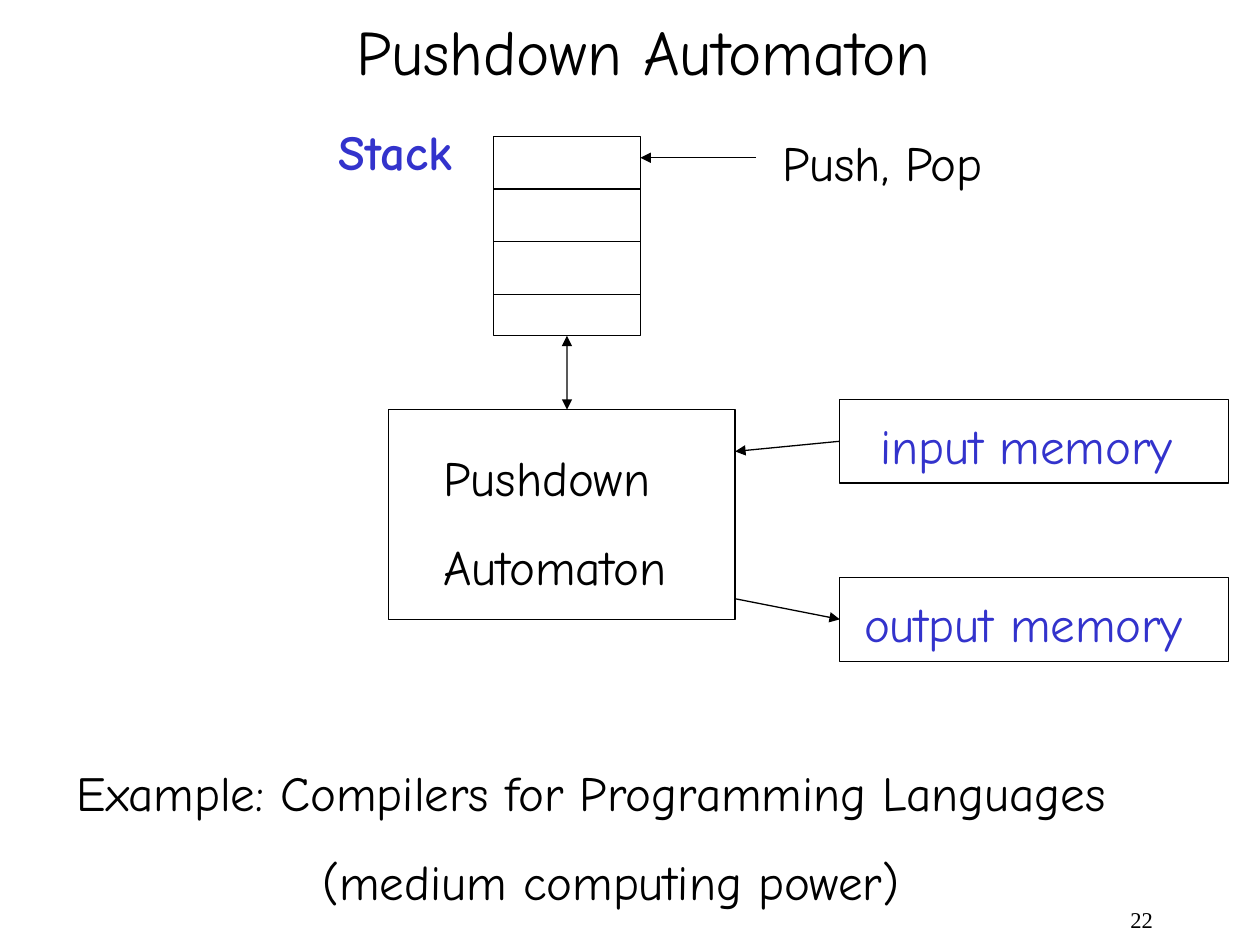
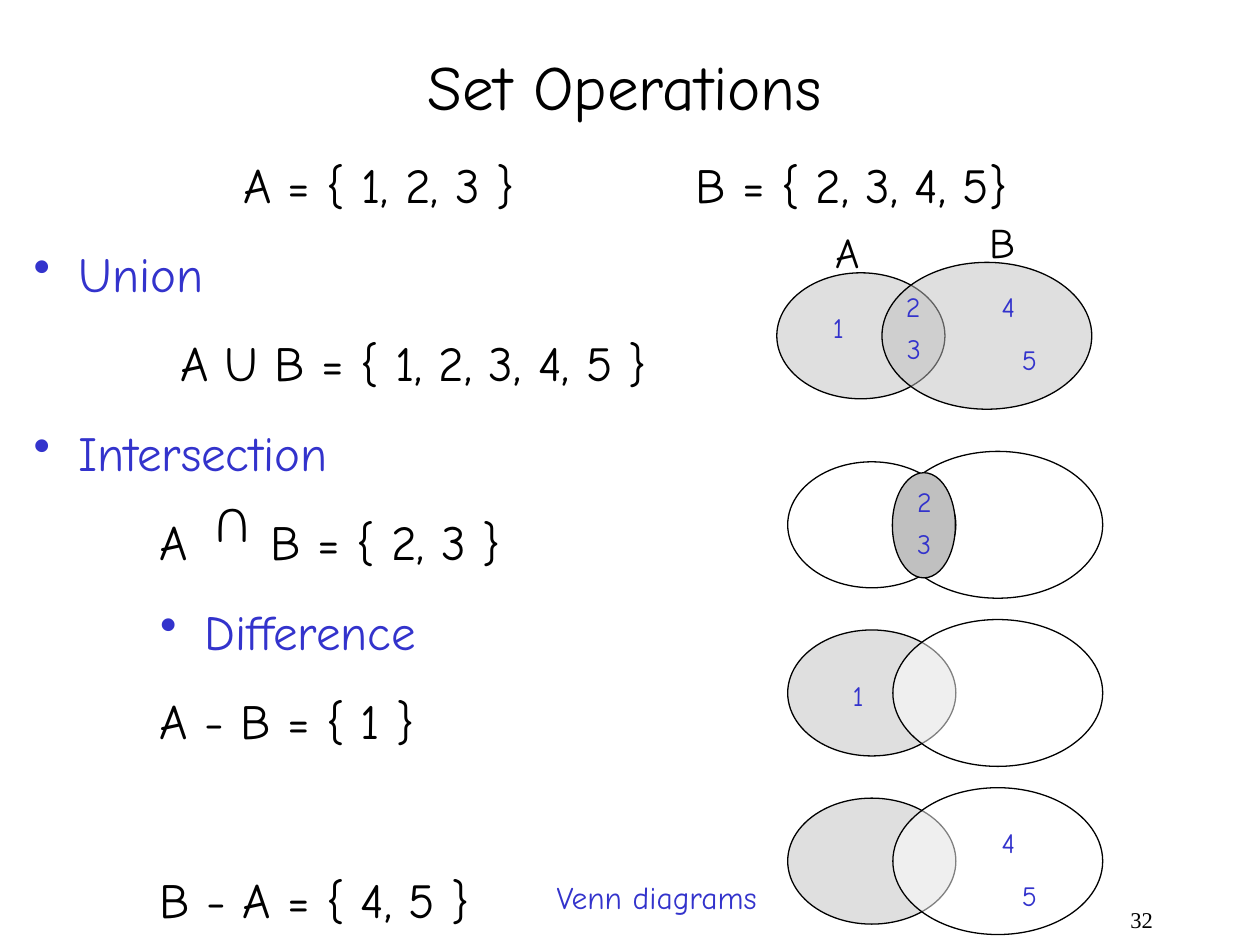
"""Build two lecture slides: a pushdown automaton and the set operations."""
import lxml.etree
import pptx
import pptx.dml.color
import pptx.enum.shapes
import pptx.enum.text
import pptx.oxml.ns
import pptx.util

Cm = pptx.util.Cm
Pt = pptx.util.Pt
color = pptx.dml.color.RGBColor.from_string
qn = pptx.oxml.ns.qn
SHAPES = pptx.enum.shapes.MSO_SHAPE
ALIGN = pptx.enum.text.PP_ALIGN

BLACK, BLUE, GRAY, WHITE = "000000", "3333CC", "C0C0C0", "FFFFFF"
FONT, NUMBER_FONT = "Comic Neue", "Times New Roman"
TITLE_SIZE, BODY_SIZE, SET_SIZE, NOTE_SIZE, ELEMENT_SIZE = 36, 28, 24, 18, 16
LINE_WIDTH = 0.75


def add_text(slide, box, lines, size=BODY_SIZE, ink=BLACK, font=FONT, bold=False, wrap=False):
    shape = slide.shapes.add_textbox(*[Cm(length) for length in box])
    shape.text_frame.word_wrap = wrap
    for index, line in enumerate(lines):
        if index == 0:
            paragraph = shape.text_frame.paragraphs[0]
        else:
            paragraph = shape.text_frame.add_paragraph()
            paragraph.space_before = Pt(17.5)
        run = paragraph.add_run()
        run.text = line
        run.font.size = Pt(size)
        run.font.name = font
        run.font.bold = bold
        run.font.color.rgb = color(ink)
    return shape


def add_outline(slide, kind, box, fill=None, alpha=100):
    shape = slide.shapes.add_shape(kind, *[Cm(length) for length in box])
    shape.shadow.inherit = False
    shape.line.color.rgb = color(BLACK)
    shape.line.width = Pt(LINE_WIDTH)
    if fill is None:
        shape.fill.background()
    else:
        shape.fill.solid()
        shape.fill.fore_color.rgb = color(fill)
        if alpha < 100:
            tint = shape._element.spPr.find(qn("a:solidFill"))[0]
            lxml.etree.SubElement(tint, qn("a:alpha"), val=str(alpha * 1000))
    return shape


presentation = pptx.Presentation()
presentation.slide_width = Cm(25.4)
presentation.slide_height = Cm(19.05)
automaton_slide, sets_slide = [
    presentation.slides.add_slide(presentation.slide_layouts[6]) for _ in range(2)
]

for slide, number in ((automaton_slide, "22"), (sets_slide, "32")):
    page_number = add_text(slide, (18.21, 18.21, 5.28, 0.84), [number], 12.9, font=NUMBER_FONT, wrap=True)
    paragraph = page_number.text_frame.paragraphs[0]
    paragraph.alignment = ALIGN.RIGHT
    paragraph.line_spacing = 0.9

input_memory, output_memory, automaton, stack = [
    add_outline(automaton_slide, SHAPES.RECTANGLE, box)
    for box in (
        (16.93, 8.05, 7.83, 1.69),
        (16.93, 11.64, 7.83, 1.69),
        (7.83, 8.26, 6.99, 4.23),
        (9.95, 2.75, 2.96, 4.02),
    )
]

add_text(automaton_slide, (6.93, 0.13, 12.17, 1.78), ["Pushdown Automaton"], TITLE_SIZE)
add_text(automaton_slide, (17.5, 8.26, 6.4, 1.45), ["input memory"], ink=BLUE)
add_text(automaton_slide, (17.17, 11.85, 6.93, 1.45), ["output memory"], ink=BLUE)
add_text(automaton_slide, (6.58, 2.33, 2.82, 1.45), ["Stack"], ink=BLUE, bold=True)
add_text(automaton_slide, (15.52, 2.54, 4.6, 1.45), ["Push, Pop"])
add_text(automaton_slide, (8.69, 8.89, 5.05, 3.25), ["Pushdown", "Automaton"])
example = add_text(
    automaton_slide,
    (1.3, 15.24, 22, 3.25),
    ["Example: Compilers for Programming Languages", "(medium computing power)"],
)
example.text_frame.paragraphs[1]._p.get_or_add_pPr().set("marL", str(Cm(4.95)))

cell_height = 1.06
connectors = [
    ((9.95, 2.75 + cell_height * row), (12.91, 2.75 + cell_height * row), (), None, None)
    for row in (1, 2, 3)
]
connectors += [
    ((15.24, 3.18), (12.91, 3.18), ("tailEnd",), None, None),
    ((11.43, 6.77), (11.43, 8.26), ("headEnd", "tailEnd"), (stack, 2), None),
    ((16.93, 8.89), (14.82, 9.1), ("tailEnd",), (input_memory, 1), None),
    ((14.82, 12.07), (16.93, 12.49), ("tailEnd",), None, (output_memory, 1)),
]
for start, end, arrowheads, begin_site, end_site in connectors:
    connector = automaton_slide.shapes.add_connector(
        pptx.enum.shapes.MSO_CONNECTOR.STRAIGHT, *[Cm(length) for length in start + end]
    )
    if begin_site:
        connector.begin_connect(*begin_site)
    if end_site:
        connector.end_connect(*end_site)
    connector.line.color.rgb = color(BLACK)
    connector.line.width = Pt(LINE_WIDTH)
    for arrowhead in arrowheads:
        lxml.etree.SubElement(connector.line._get_or_add_ln(), qn(f"a:{arrowhead}"), type="triangle")
    lxml.etree.SubElement(connector._element.spPr, qn("a:effectLst"))

operations = [
    ("Set Operations", 0, False, ()),
    ("\tA = { 1, 2, 3 }\tB = { 2, 3, 4, 5}", 0, False, (4.22, 13.34)),
    ("Union", 0.9, True, ()),
    ("A U B = { 1, 2, 3, 4, 5 }", 2.95, False, ()),
    ("Intersection", 0.9, True, ()),
    ("\tA\tB = { 2, 3 }", 0, False, (2.54, 4.78)),
    ("Difference", 3.45, True, ()),
    ("A - B = { 1 }", 2.54, False, ()),
    ("B - A = { 4, 5 }", 2.54, False, ()),
]
body = add_text(sets_slide, (0.43, 0.84, 24.33, 18.01), [row[0] for row in operations], wrap=True)
paragraphs = body.text_frame.paragraphs
for paragraph, (_, margin, bulleted, tab_stops) in zip(paragraphs, operations):
    properties = paragraph._p.get_or_add_pPr()
    properties.set("marL", str(Cm(margin)))
    if bulleted:
        properties.set("indent", str(-Cm(0.9)))
        bullet_color = lxml.etree.SubElement(properties, qn("a:buClr"))
        lxml.etree.SubElement(bullet_color, qn("a:srgbClr"), val=BLUE)
        lxml.etree.SubElement(properties, qn("a:buChar"), char="•")
        paragraph.runs[0].font.color.rgb = color(BLUE)
    if tab_stops:
        tab_list = lxml.etree.SubElement(properties, qn("a:tabLst"))
        for position in tab_stops:
            lxml.etree.SubElement(tab_list, qn("a:tab"), pos=str(Cm(position)), algn="l")
paragraphs[0].alignment = ALIGN.CENTER
paragraphs[0].runs[0].font.size = Pt(TITLE_SIZE)
paragraphs[-1].space_before = Pt(68.7)

intersection_sign = add_text(sets_slide, (4.01, 9.93, 1.27, 1.45), ["U"], wrap=True)
intersection_sign.rotation = 180

venn_left, venn_top, venn_pitch = 15.88, 9.31, 3.39
venn_diagrams = [
    (15.66, 5.5, GRAY, GRAY),
    (venn_left, venn_top, None, None),
    (venn_left, venn_top + venn_pitch, GRAY, WHITE),
    (venn_left, venn_top + 2 * venn_pitch, GRAY, WHITE),
]
for left, top, fill_a, fill_b in venn_diagrams:
    add_outline(sets_slide, SHAPES.OVAL, (left, top, 3.39, 2.54), fill_a, 50)
    add_outline(sets_slide, SHAPES.OVAL, (left + 2.12, top - 0.21, 4.23, 2.96), fill_b, 50)
add_outline(sets_slide, SHAPES.OVAL, (17.99, 9.53, 1.27, 2.12), GRAY)

for name, left, top in (("A", 16.59, 4.45), ("B", 19.69, 4.24)):
    add_text(sets_slide, (left, top, 1, 1.27), [name], SET_SIZE)

elements = [
    ("2", 18.01, 5.72), ("3", 18.03, 6.56), ("1", 16.54, 6.14),
    ("4", 19.94, 5.72), ("5", 20.35, 6.78),
    ("2", 18.24, 9.65), ("3", 18.24, 10.49),
    ("1", 16.94, 13.55),
    ("4", 19.94, 16.51), ("5", 20.35, 17.58),
]
for element, left, top in elements:
    add_text(sets_slide, (left, top, 0.79, 0.94), [element], ELEMENT_SIZE, BLUE)

add_text(sets_slide, (10.97, 17.58, 4.6, 1.02), ["Venn diagrams"], NOTE_SIZE, BLUE, wrap=True)

presentation.save("out.pptx")
